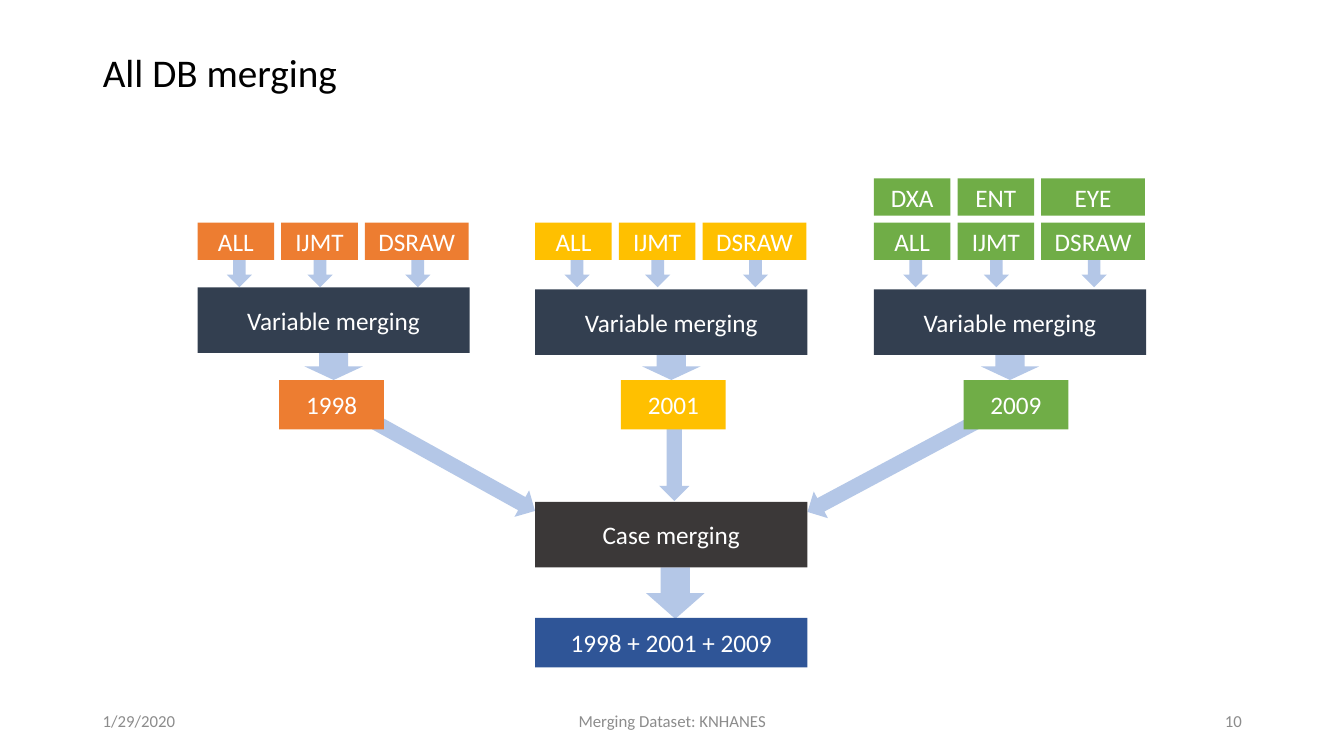
from dataclasses import dataclass

from pptx import Presentation
from pptx.dml.color import RGBColor
from pptx.enum.shapes import MSO_SHAPE
from pptx.enum.text import MSO_ANCHOR, MSO_AUTO_SIZE, PP_ALIGN
from pptx.util import Emu, Pt

SCALE = 9144  # EMU per px, 100 px to the inch


@dataclass(frozen=True)
class Theme:
    font: str = "Calibri"
    title: int = 28
    body: int = 18
    small: int = 12
    black: str = "000000"
    white: str = "FFFFFF"
    gray: str = "8C8C8C"
    arrow: str = "B4C7E7"
    navy: str = "333F50"
    dark: str = "3B3838"
    blue: str = "2F5597"
    orange: str = "ED7D31"
    gold: str = "FFC000"
    green: str = "70AD47"


THEME = Theme()
TILES = [(0, 76), (83, 76), (166, 103)]  # offset and width in a column
NAMES = ["ALL", "IJMT", "DSRAW"]
EXTRA = ["DXA", "ENT", "EYE"]
# year, colour, column left, top of merge box, left of year box
YEARS = [
    ("1998", THEME.orange, 196, 285, 277),
    ("2001", THEME.gold, 531, 287, 616),
    ("2009", THEME.green, 867, 287, 956),
]


def px(*sizes):
    return [Emu(size * SCALE) for size in sizes]


def assign(target, values):
    for name, value in values.items():
        setattr(target, name, value)


def write(shape, text, size, color, align):
    frame = shape.text_frame
    frame.text = text
    assign(frame, {
        "word_wrap": True,
        "auto_size": MSO_AUTO_SIZE.NONE,
        "vertical_anchor": MSO_ANCHOR.MIDDLE,
    })
    para = frame.paragraphs[0]
    para.alignment = align
    assign(para.font, {"name": THEME.font, "size": Pt(size)})
    para.font.color.rgb = RGBColor.from_string(color)
    return para


def add_solid(slide, kind, area, color):
    shape = slide.shapes.add_shape(kind, *px(*area))
    shape.shadow.inherit = False
    shape.fill.solid()
    shape.fill.fore_color.rgb = RGBColor.from_string(color)
    shape.line.fill.background()
    return shape


def add_box(slide, area, text, color):
    box = add_solid(slide, MSO_SHAPE.RECTANGLE, area, color)
    write(box, text, THEME.body, THEME.white, PP_ALIGN.CENTER)


def add_arrow(slide, area, turn=0):
    arrow = add_solid(slide, MSO_SHAPE.DOWN_ARROW, area, THEME.arrow)
    arrow.rotation = turn


def add_tiles(slide, left, top, names, color):
    for (shift, width), name in zip(TILES, names):
        add_box(slide, (left + shift, top, width, 37), name, color)


def add_title(slide, text):
    title = slide.shapes.title
    places = px(92, 40, 1150, 69)
    assign(title, dict(zip(("left", "top", "width", "height"), places)))
    para = write(title, text, THEME.title, THEME.black, PP_ALIGN.LEFT)
    para.line_spacing = 0.9


def add_footer(slide, left, width, text, align):
    box = slide.shapes.add_textbox(*px(left, 695, width, 40))
    write(box, text, THEME.small, THEME.gray, align)


def add_year(slide, year, color, left, top, spot):
    """Draw one column, from its source tiles down to the year."""
    for shift in (29, 109, 206):
        add_arrow(slide, (left + shift, 258, 25, 27))
    add_arrow(slide, (left + 106, 350, 58, 27))
    add_box(slide, (left, top, 270, 65), "Variable merging", THEME.navy)
    add_tiles(slide, left, 221, NAMES, color)
    add_box(slide, (spot, 377, 104, 49), year, color)


def main():
    deck = Presentation()
    deck.slide_width, deck.slide_height = Emu(12192000), Emu(6858000)
    slide = deck.slides.add_slide(deck.slide_layouts[5])
    add_title(slide, "All DB merging")
    add_footer(slide, 92, 300, "1/29/2020", PP_ALIGN.LEFT)
    add_footer(slide, 442, 450, "Merging Dataset: KNHANES", PP_ALIGN.CENTER)
    add_footer(slide, 942, 300, "10", PP_ALIGN.RIGHT)

    add_arrow(slide, (641, 563, 58, 51))
    add_arrow(slide, (424, 351, 30, 210), 299)
    add_arrow(slide, (873, 363, 30, 197), 61.9)
    add_arrow(slide, (654, 398, 30, 99))
    for row in YEARS:
        add_year(slide, *row)
    add_tiles(slide, 867, 177, EXTRA, THEME.green)
    add_box(slide, (531, 498, 270, 65), "Case merging", THEME.dark)
    add_box(slide, (531, 613, 270, 49), "1998 + 2001 + 2009", THEME.blue)
    deck.save("out.pptx")


if __name__ == "__main__":
    main()
